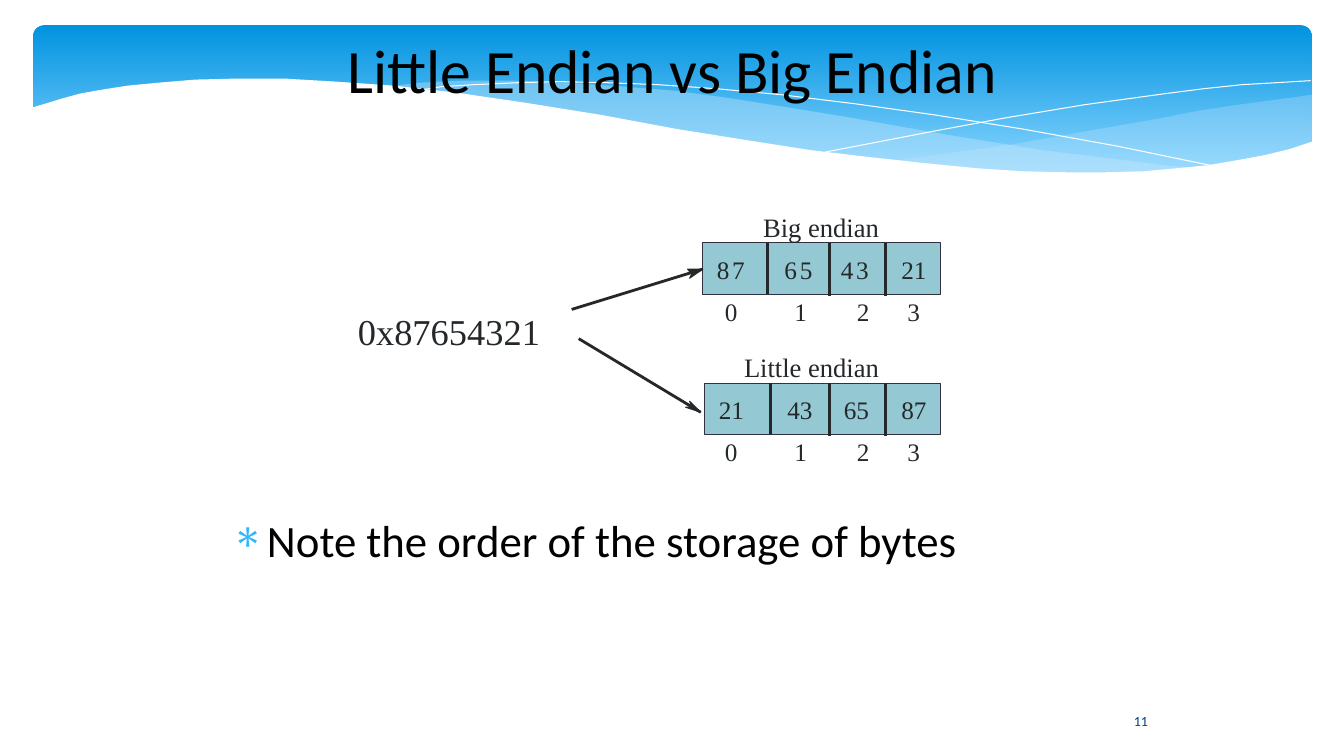
from lxml import etree
from pptx import Presentation
from pptx.dml.color import RGBColor
from pptx.enum.shapes import MSO_CONNECTOR as Link, MSO_SHAPE as Shape
from pptx.enum.text import MSO_ANCHOR as Anchor, PP_ALIGN as Align
from pptx.oxml.ns import qn
from pptx.util import Inches, Pt

HEX = {"top": "0293E0", "low": "83D3FE", "wave": "C6E7FC", "white": "FFFFFF",
       "cell": "94C8D2", "edge": "323141", "ink": "24282B", "black": "000000",
       "page": "073E87", "bullet": "31B6FD"}
SANS, SERIF = "Calibri", "Times New Roman"

# Banner outlines: points, opacity in percent
WAVES = [
    ([(13.01, 0.94), (12.65, 0.99), (12.27, 1.04), (11.88, 1.1), (11.47, 1.18),
      (10.73, 1.31), (10.05, 1.43), (9.41, 1.52), (8.82, 1.6), (9.21, 1.64),
      (9.58, 1.67), (9.93, 1.69), (10.25, 1.71), (10.71, 1.72), (11.13, 1.72),
      (11.51, 1.7), (11.86, 1.66), (12.18, 1.62), (12.47, 1.56),
      (12.84, 1.47), (13.01, 1.42)], 29),
    ([(11.9, 1.67), (11.54, 1.64), (11.16, 1.59), (10.34, 1.49), (9.41, 1.34),
      (8.39, 1.16), (7.78, 1.06), (7.21, 0.97), (6.69, 0.9), (6.19, 0.86),
      (5.6, 0.82), (5.06, 0.8), (4.59, 0.8), (4.18, 0.82), (3.82, 0.86),
      (4.31, 0.9), (4.83, 0.97), (5.39, 1.06), (5.99, 1.16), (7.06, 1.35),
      (8.02, 1.5), (8.87, 1.61), (9.63, 1.68), (10.3, 1.72), (10.76, 1.73),
      (11.18, 1.72), (11.56, 1.7)], 40),
]
CURVES = [
    [(4.12, 0.9), (4.38, 0.86), (4.7, 0.84), (5.16, 0.82), (5.55, 0.81),
     (6, 0.82), (6.52, 0.84), (7.1, 0.88), (7.75, 0.94), (8.48, 1.03),
     (9.27, 1.14), (10.14, 1.28), (11.08, 1.45), (12.1, 1.66)],
    [(8.18, 1.51), (8.7, 1.41), (9.27, 1.3), (9.97, 1.17), (10.75, 1.04),
     (11.55, 0.93), (11.94, 0.88), (12.32, 0.84), (12.67, 0.82), (13, 0.8)],
]
PAPER = [
    (13.03, 1.4), (12.79, 1.48), (12.54, 1.54), (12.27, 1.59), (11.98, 1.64),
    (11.67, 1.67), (11.34, 1.7), (10.97, 1.71), (10.58, 1.71), (10.15, 1.7),
    (9.69, 1.67), (9.18, 1.62), (8.63, 1.56), (8.04, 1.49), (7.4, 1.39),
    (6.71, 1.28), (5.96, 1.14), (5.21, 1.02), (4.53, 0.92), (3.9, 0.85),
    (3.33, 0.81), (2.82, 0.78), (2.35, 0.78), (1.94, 0.79), (1.58, 0.82),
    (1.27, 0.85), (1.01, 0.89), (0.79, 0.93), (0.61, 0.98), (0.48, 1.02),
    (0.31, 1.07), (0.31, 2.24), (13.03, 2.24)]

# Byte rows: name, name left, box left, top, first divider, bytes, text lefts
ROWS = [
    ("Big endian", 7.57, 6.97, 2.41, 7.61,
     ["87", "65", "43", "21"], [7.11, 7.78, 8.34, 8.94], 3),
    ("Little endian", 7.38, 6.99, 3.8, 7.64,
     ["21", "43", "65", "87"], [7.13, 7.81, 8.37, 8.94], 0),
]
RIGHT, HIGH = 9.33, 0.51
SPOTS = [7.19, 7.88, 8.5, 9]
ARROWS = [
    ((5.67, 3.07), (6.97, 2.67), [(6.82, 2.67), (6.86, 2.72), (6.84, 2.76)]),
    ((5.74, 3.36), (6.95, 4.09), [(6.84, 3.98), (6.86, 4.04), (6.8, 4.04)]),
]

deck = Presentation()
deck.slide_width, deck.slide_height = Inches(13.33), Inches(7.5)
slide = deck.slides.add_slide(deck.slide_layouts[6])
shapes = slide.shapes


def rgb(name):
    return RGBColor.from_string(HEX[name])


def paint(shape, fill=None, line=None):
    shape.shadow.inherit = False
    if fill:
        shape.fill.solid()
        shape.fill.fore_color.rgb = rgb(fill)
    else:
        shape.fill.background()
    if line:
        shape.line.color.rgb = rgb(line)
        shape.line.width = Pt(0)
    else:
        shape.line.fill.background()


def outline(points, fill=None, line=None):
    dots = [(Inches(x), Inches(y)) for x, y in points]
    pen = shapes.build_freeform(*dots[0], scale=1.0)
    pen.add_line_segments(dots[1:], close=bool(fill))
    shape = pen.convert_to_shape()
    paint(shape, fill, line)
    return shape


def rule(start, end):
    line = shapes.add_connector(Link.STRAIGHT, *map(Inches, start + end))
    line.line.color.rgb = rgb("ink")
    line.line.width = Pt(0)
    etree.SubElement(line._element.spPr, qn("a:effectLst"))


def write(text, at, size, font=SERIF, color="ink", inset=(0, 0),
          align=Align.LEFT, anchor=Anchor.TOP):
    frame = shapes.add_textbox(*map(Inches, at)).text_frame
    frame.word_wrap = True
    frame.vertical_anchor = anchor
    frame.margin_left = frame.margin_right = Inches(inset[0])
    frame.margin_top = frame.margin_bottom = Inches(inset[1])
    para = frame.paragraphs[0]
    para.text = text
    para.alignment = align
    para.font.name, para.font.size = font, Pt(size)
    para.font.color.rgb = rgb(color)
    return para


def bullet(para, mark):
    props = para._p.get_or_add_pPr()
    props.set("marL", str(Inches(0.47)))
    props.set("indent", str(Inches(-0.35)))
    tint = etree.Element(qn("a:buClr"))
    etree.SubElement(tint, qn("a:srgbClr"), val=HEX["bullet"])
    sign = etree.Element(qn("a:buChar"), char=mark)
    spot = props.index(props.find(qn("a:defRPr")))
    props[spot:spot] = [tint, sign]


def banner():
    band = shapes.add_shape(Shape.ROUNDED_RECTANGLE,
                            *map(Inches, (0.33, 0.25, 12.68, 1.56)))
    band.adjustments[0] = 0.07
    paint(band)
    band.fill.gradient()
    band.fill.gradient_angle = 270
    for stop, name, place in zip(band.fill.gradient_stops,
                                 ("top", "low"), (0, 0.9)):
        stop.color.rgb = rgb(name)
        stop.position = place
    for points, alpha in WAVES:
        wave = outline(points, "wave")
        tint = wave._element.spPr.find(".//" + qn("a:srgbClr"))
        etree.SubElement(tint, qn("a:alpha"), val=str(alpha * 1000))
    for points in CURVES:
        outline(points, line="white")
    outline(PAPER, "white")


def row(name, begin, left, top, split, data, lefts, loose):
    """Draw one word of memory; the first `loose` bytes have wide spacing."""
    box = shapes.add_shape(Shape.RECTANGLE, *map(
        Inches, (left, top, RIGHT - left, HIGH)))
    paint(box, "cell", "edge")
    for x, extra in ((split, 0), (8.23, 0.02), (8.78, 0.02)):
        rule((x, top), (x, top + HIGH + extra))
    for i, (byte, x) in enumerate(zip(data, lefts)):
        para = write(byte, (x, top + 0.11, 0.4, 0.3), 18)
        if i < loose:
            para.runs[0]._r.get_or_add_rPr().set("spc", "200")
    for i, x in enumerate(SPOTS):
        write(str(i), (x, top + 0.53, 0.2, 0.3), 18)
    write(name, (begin, top - 0.32, 1.5, 0.32), 19)


banner()
write("11", (11.01, 6.95, 0.61, 0.4), 10, SANS, "page", (0.1, 0.05),
      Align.CENTER, Anchor.MIDDLE)
write("Little Endian vs Big Endian", (1.92, 0.17, 9.5, 1.02), 44, SANS,
      "black", align=Align.CENTER, anchor=Anchor.MIDDLE)
note = write("Note the order of the storage of bytes", (2.08, 5.04, 9.17, 1.66),
             32, SANS, "black", (0.1, 0.05))
bullet(note, "∗")
for item in ROWS:
    row(*item)
write("0x87654321", (3.55, 3.07, 2, 0.44), 26)
for start, tip, barbs in ARROWS:
    rule(start, tip)
    outline([tip] + barbs, "ink", "ink")

deck.save("out.pptx")
